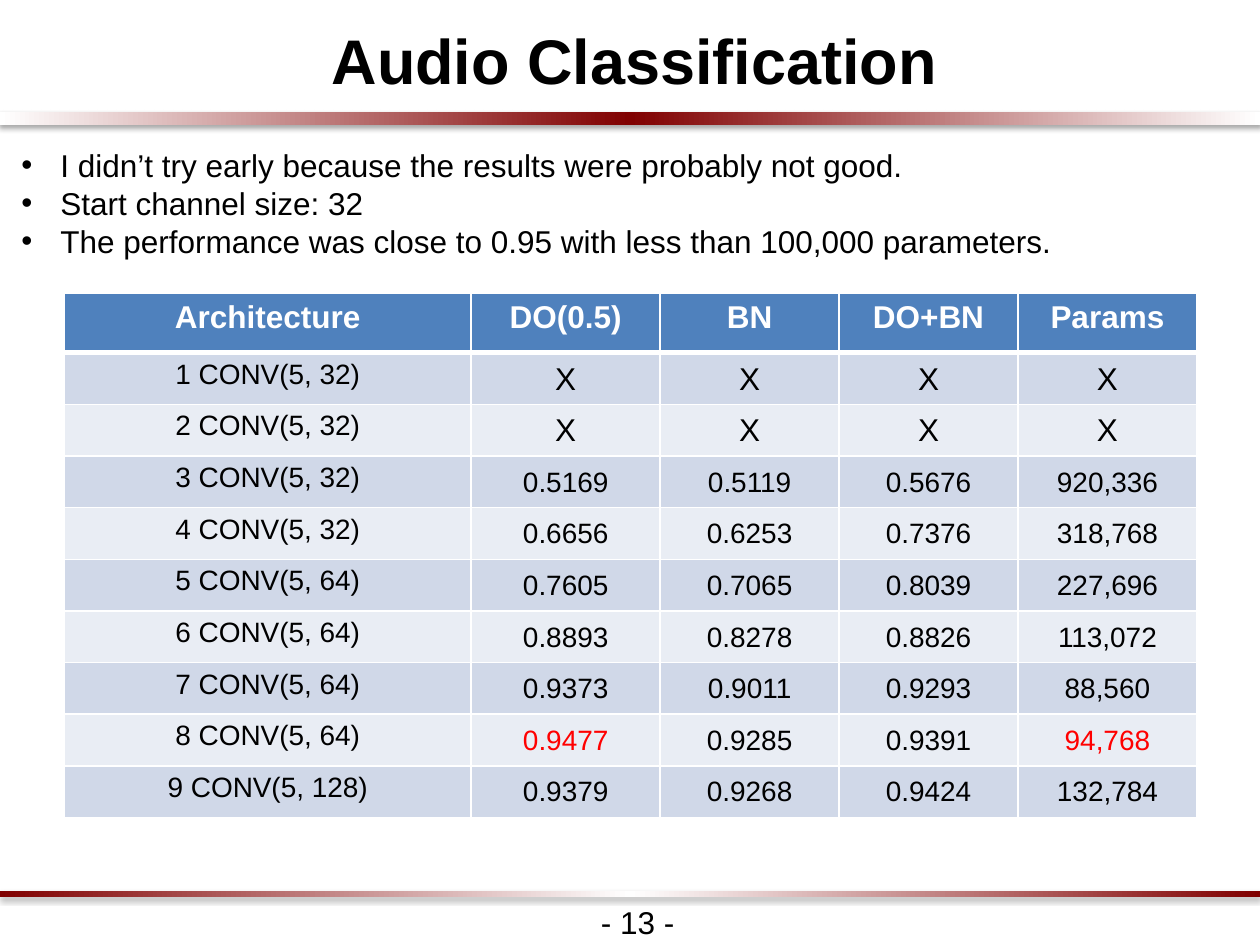
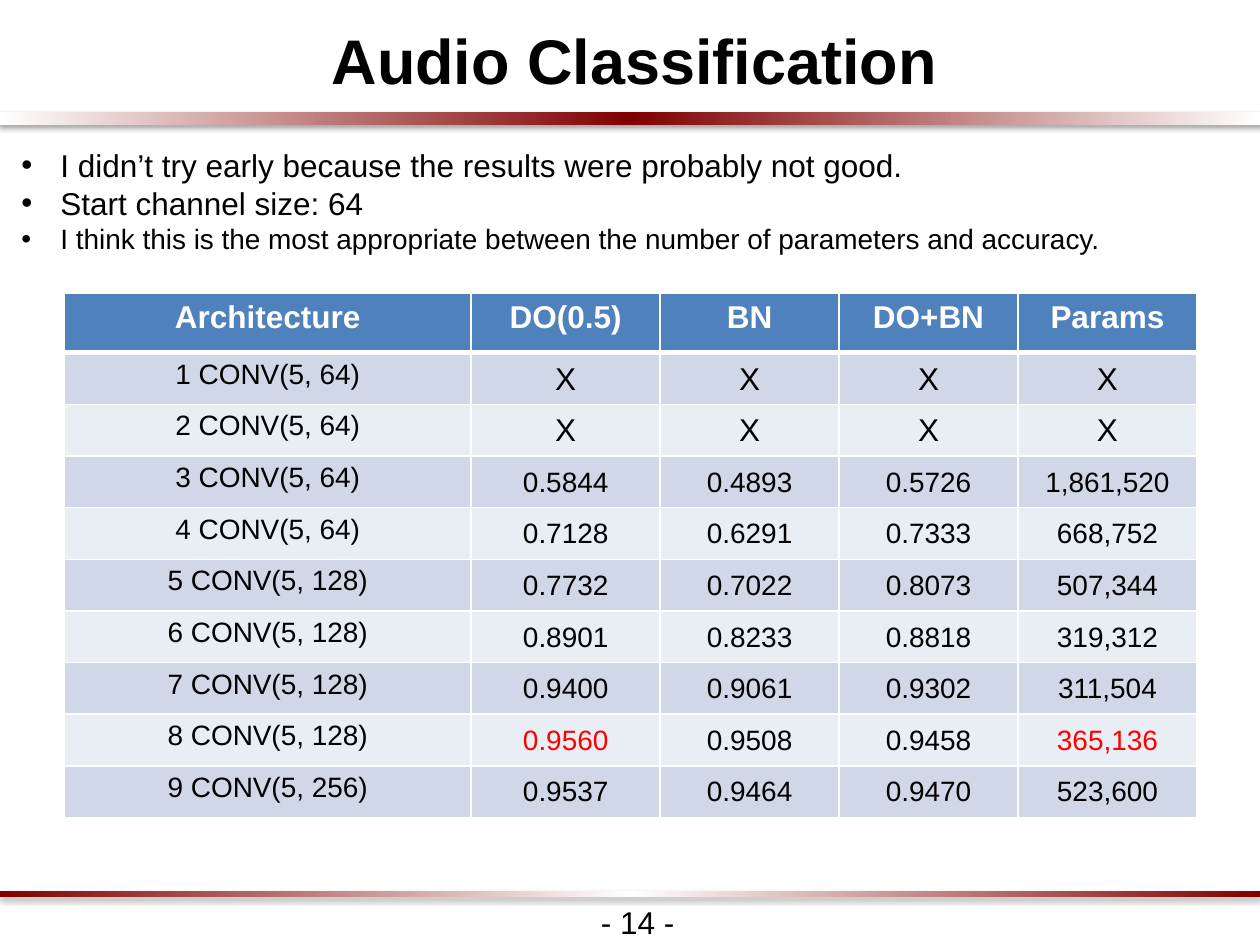
from lxml.etree import SubElement
from pptx import Presentation
from pptx.dml.color import RGBColor
from pptx.enum.shapes import MSO_SHAPE
from pptx.enum.text import MSO_ANCHOR, MSO_AUTO_SIZE, PP_ALIGN
from pptx.oxml import parse_xml
from pptx.oxml.ns import nsdecls, qn
from pptx.util import Inches, Pt

FONT = "Arial"
BLACK, WHITE, RED = "000000", "FFFFFF", "FF0000"
MAROON, BLUE = "800000", "4F81BD"
STRIPES = ["D0D8E8", "E9EDF4"]

TITLE = "Audio Classification"
INTRO = "I didn’t try early because the results were probably not good."
HEADS = ["Architecture", "DO(0.5)", "BN", "DO+BN", "Params"]
WIDTHS = [3.23, 1.5, 1.42, 1.42, 1.42]
HEAD_H, ROW_H = 0.47, 0.41
BEST = 8  # depth whose dropout score and size are marked red

# Rows for depths 1 to 9: DO, BN, DO+BN, parameters
BLANK = ["X"] * 4
SMALL = [
    BLANK, BLANK,
    ["0.5169", "0.5119", "0.5676", "920,336"],
    ["0.6656", "0.6253", "0.7376", "318,768"],
    ["0.7605", "0.7065", "0.8039", "227,696"],
    ["0.8893", "0.8278", "0.8826", "113,072"],
    ["0.9373", "0.9011", "0.9293", "88,560"],
    ["0.9477", "0.9285", "0.9391", "94,768"],
    ["0.9379", "0.9268", "0.9424", "132,784"],
]
LARGE = [
    BLANK, BLANK,
    ["0.5844", "0.4893", "0.5726", "1,861,520"],
    ["0.7128", "0.6291", "0.7333", "668,752"],
    ["0.7732", "0.7022", "0.8073", "507,344"],
    ["0.8901", "0.8233", "0.8818", "319,312"],
    ["0.9400", "0.9061", "0.9302", "311,504"],
    ["0.9560", "0.9508", "0.9458", "365,136"],
    ["0.9537", "0.9464", "0.9470", "523,600"],
]


def rgb(code):
    return RGBColor.from_string(code)


def style(par, size, color=BLACK, bold=False):
    for run in par.runs:
        font = run.font
        font.name, font.size, font.bold = FONT, Pt(size), bold
        font.color.rgb = rgb(color)


def place(shape, left, top, width, height):
    shape.left, shape.top = Inches(left), Inches(top)
    shape.width, shape.height = Inches(width), Inches(height)


def indent(par, left, first):
    props = par._p.get_or_add_pPr()
    props.set("marL", str(Inches(left)))
    props.set("indent", str(Inches(first)))


def add_band(slide, top, height, edge, mid):
    """Full-width bar fading from edge to mid and back, with a soft shadow."""
    band = slide.shapes.add_shape(
        MSO_SHAPE.RECTANGLE, 0, Inches(top), Inches(10), Inches(height))
    band.line.fill.background()
    stops = "".join(
        f'<a:gs pos="{pos}"><a:srgbClr val="{code}"/></a:gs>'
        for pos, code in [(0, edge), (50000, mid), (100000, edge)])
    props = band.element.spPr
    props.find(qn("a:prstGeom")).addnext(parse_xml(
        f'<a:gradFill {nsdecls("a")} rotWithShape="1"><a:gsLst>{stops}'
        '</a:gsLst><a:lin ang="0" scaled="0"/></a:gradFill>'))
    props.append(parse_xml(
        f'<a:effectLst {nsdecls("a")}><a:outerShdw blurRad="{Pt(3.1)}" '
        f'dist="{Pt(1.8)}" dir="5400000" rotWithShape="0">'
        f'<a:srgbClr val="{BLACK}"><a:alpha val="35000"/></a:srgbClr>'
        '</a:outerShdw></a:effectLst>'))


def add_title(slide):
    title = slide.shapes.title
    place(title, -0.23, 0.03, 10.45, 0.79)
    frame = title.text_frame
    frame.text = TITLE
    frame.auto_size = MSO_AUTO_SIZE.NONE
    frame.vertical_anchor = MSO_ANCHOR.MIDDLE
    frame.margin_top = frame.margin_bottom = Inches(0.1)
    par = frame.paragraphs[0]
    par.alignment, par.line_spacing = PP_ALIGN.CENTER, 1.15
    indent(par, 0.08, 0)
    style(par, 36, bold=True)


def add_list(slide, items):
    body = slide.placeholders[1]
    place(body, 0.07, 1.11, 9.42, 1.06)
    frame = body.text_frame
    frame.text = "\n".join(text for text, size in items)
    frame.auto_size = MSO_AUTO_SIZE.NONE
    for par, (text, size) in zip(frame.paragraphs, items):
        par.space_before = Pt(0)
        indent(par, 0.31, -0.31)
        style(par, size)


def add_page(slide, number):
    box = slide.shapes.add_textbox(
        Inches(4.67), Inches(7.12), Inches(0.79), Inches(0.4))
    frame = box.text_frame
    frame.text = f"- {number} -"
    frame.word_wrap = False
    frame.auto_size = MSO_AUTO_SIZE.SHAPE_TO_FIT_TEXT
    style(frame.paragraphs[0], 18)


def set_edges(cell, base):
    """White rules on all four sides; base is the bottom weight."""
    props = cell._tc.get_or_add_tcPr()
    for side, weight in [("L", 1), ("R", 1), ("T", 1), ("B", base)]:
        line = SubElement(props, qn(f"a:ln{side}"), w=str(Pt(weight)))
        fill = SubElement(line, qn("a:solidFill"))
        SubElement(fill, qn("a:srgbClr"), val=WHITE)


def fill_cell(cell, text, size, color, back, bold=False, base=1):
    set_edges(cell, base)
    cell.fill.solid()
    cell.fill.fore_color.rgb = rgb(back)
    cell.text_frame.text = text
    par = cell.text_frame.paragraphs[0]
    par.alignment = PP_ALIGN.CENTER
    style(par, size, color, bold)


def add_scores(slide, start, scores):
    count = len(scores) + 1
    table = slide.shapes.add_table(
        count, len(HEADS), Inches(0.51), Inches(2.33), Inches(sum(WIDTHS)),
        Inches(HEAD_H + ROW_H * len(scores))).table
    for col, width in zip(table.columns, WIDTHS):
        col.width = Inches(width)
    for num, row in enumerate(table.rows):
        row.height = Inches(ROW_H if num else HEAD_H)

    # Header row
    for col, head in enumerate(HEADS):
        fill_cell(table.cell(0, col), head, 18, WHITE, BLUE, True, 3)

    # One row per depth; the channel count doubles every four layers
    for depth, values in enumerate(scores, 1):
        back = STRIPES[(depth - 1) % 2]
        width = start * 2 ** ((depth - 1) // 4)
        fill_cell(table.cell(depth, 0), f"{depth} CONV(5, {width})",
                  16, BLACK, back)
        for col, value in enumerate(values, 1):
            cell = table.cell(depth, col)
            color = RED if depth == BEST and col in (1, 4) else BLACK
            fill_cell(cell, value, 18 if value == "X" else 16, color, back)
            cell.vertical_anchor = MSO_ANCHOR.MIDDLE
            cell.margin_left = cell.margin_right = Inches(0.01)
            cell.margin_top, cell.margin_bottom = Inches(0.01), 0


def add_slide(deck, number, start, remark, size, scores):
    slide = deck.slides.add_slide(deck.slide_layouts[1])
    add_band(slide, 0.89, 0.1, WHITE, MAROON)
    add_band(slide, 7.07, 0.05, MAROON, WHITE)
    add_title(slide)
    add_list(slide, [(INTRO, 18), (f"Start channel size: {start}", 18),
                     (remark, size)])
    add_page(slide, number)
    add_scores(slide, start, scores)


def main():
    deck = Presentation()
    deck.slide_width, deck.slide_height = Inches(10), Inches(7.5)
    add_slide(deck, 13, 32, "The performance was close to 0.95 with less "
              "than 100,000 parameters.", 18, SMALL)
    add_slide(deck, 14, 64, "I think this is the most appropriate between "
              "the number of parameters and accuracy.", 16, LARGE)
    deck.save("out.pptx")


main()
